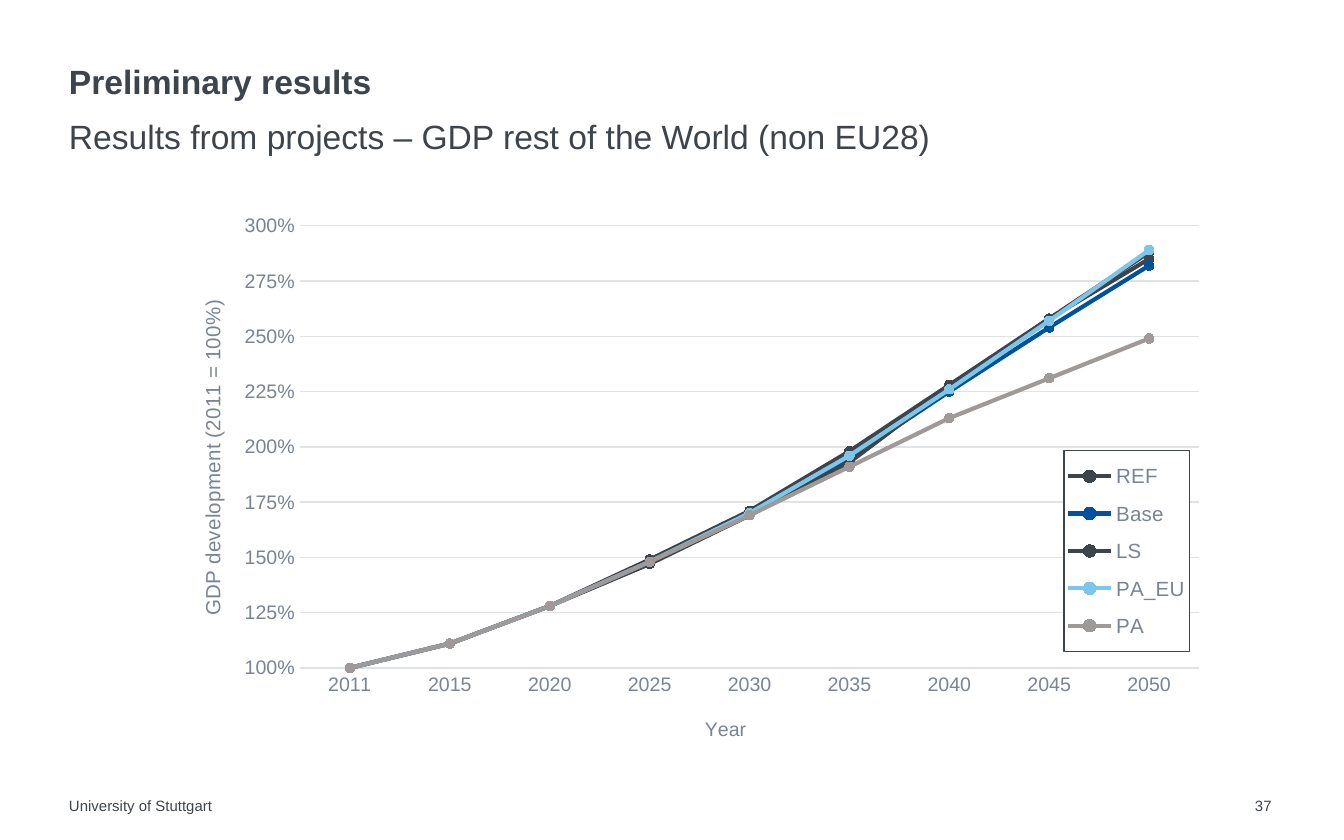
from lxml import etree
from pptx import Presentation
from pptx.chart.data import CategoryChartData
from pptx.dml.color import RGBColor
from pptx.enum.chart import XL_CHART_TYPE as CT, XL_LEGEND_POSITION as LP
from pptx.enum.chart import XL_MARKER_STYLE as MS, XL_TICK_MARK as TM
from pptx.oxml import parse_xml
from pptx.oxml.ns import nsdecls, qn
from pptx.util import Emu, Pt

SCALE = 914400 / 134.4
DARK, GREY, GRID = "3E444C", "7A8492", "E0E3E6"
YEARS = ["2011", "2015", "2020", "2025", "2030", "2035", "2040", "2045", "2050"]
SCENARIOS = [
    ("REF", DARK, [1, 1.11, 1.28, 1.49, 1.71, 1.98, 2.28, 2.58, 2.85]),
    ("Base", "00519E", [1, 1.11, 1.28, 1.48, 1.69, 1.95, 2.25, 2.54, 2.82]),
    ("LS", DARK, [1, 1.11, 1.28, 1.47, 1.69, 1.93, 2.27, 2.58, 2.88]),
    ("PA_EU", "7DC6EA", [1, 1.11, 1.28, 1.48, 1.7, 1.96, 2.26, 2.57, 2.89]),
    ("PA", "9F9998", [1, 1.11, 1.28, 1.48, 1.69, 1.91, 2.13, 2.31, 2.49]),
]


def px(n):
    """Turn pixels into EMU."""
    return Emu(round(n * SCALE))


def rgb(color):
    """Turn a hex string into a colour."""
    return RGBColor.from_string(color)


def set_font(font, size, color, bold=False):
    """Set face, size, weight and colour of a font."""
    for name, value in {"name": "Arial", "size": Pt(size), "bold": bold}.items():
        setattr(font, name, value)
    font.color.rgb = rgb(color)


def set_line(line, color, width):
    """Set colour and width of a line."""
    line.color.rgb = rgb(color)
    line.width = Pt(width)


def add_text(slide, box, text, size, bold=False):
    """Place one line of text in a box without margins."""
    tf = slide.shapes.add_textbox(*map(px, box)).text_frame
    tf.word_wrap = True
    for side in ("left", "top", "right", "bottom"):
        setattr(tf, f"margin_{side}", 0)
    r = tf.paragraphs[0].add_run()
    r.text = text
    set_font(r.font, size, DARK, bold)


def set_layout(element, index, box, place, inner=False):
    """Fix a chart part at a place in px relative to the chart box."""
    for old in element.findall(qn("c:layout")):
        element.remove(old)
    layout = parse_xml(f"<c:layout {nsdecls('c')}><c:manualLayout/></c:layout>")
    values = [round(n / box[2 + i % 2], 3) for i, n in enumerate(place)]
    items = [("layoutTarget", "inner")] if inner else []
    items += [("xMode", "edge"), ("yMode", "edge"), *zip("xywh", values)]
    for tag, value in items:
        etree.SubElement(layout[0], qn(f"c:{tag}")).set("val", str(value))
    element.insert(index, layout)


def style_axis(axis, box, title, size, place):
    """Set title, tick labels and tick marks of an axis."""
    for name, value in {"has_title": True, "major_tick_mark": TM.NONE,
                        "minor_tick_mark": TM.NONE}.items():
        setattr(axis, name, value)
    set_font(axis.tick_labels.font, 10.5, GREY)
    r = axis.axis_title.text_frame.paragraphs[0].add_run()
    r.text = title
    set_font(r.font, size, GREY)
    set_layout(axis.axis_title._element, 1, box, place)


def add_legend(chart, box, place):
    """Add a framed white legend over the plot."""
    chart.has_legend = True
    legend = chart.legend
    legend.position = LP.RIGHT
    legend.include_in_layout = True
    set_font(legend.font, 11, GREY)
    set_layout(legend._element, 1, box, place)
    legend._element.find(qn("c:txPr")).addprevious(parse_xml(
        f'<c:spPr {nsdecls("c", "a")}>'
        '<a:solidFill><a:srgbClr val="FFFFFF"/></a:solidFill>'
        f'<a:ln w="9525"><a:solidFill><a:srgbClr val="{DARK}"/></a:solidFill></a:ln>'
        '</c:spPr>'))


def add_gdp_chart(slide, box):
    """Draw the GDP development of all scenarios."""
    data = CategoryChartData(number_format="0%")
    data.categories = YEARS
    for name, _, values in SCENARIOS:
        data.add_series(name, values)
    chart = slide.shapes.add_chart(CT.LINE_MARKERS, *map(px, box), data).chart
    chart.has_title = False
    set_font(chart.font, 10.5, DARK)
    plot = chart.plots[0]
    plot.vary_by_categories = False
    for s, (_, color, _) in zip(plot.series, SCENARIOS):
        s.smooth = False
        set_line(s.format.line, color, 2.25)
        s.marker.style, s.marker.size = MS.CIRCLE, 5
        s.marker.format.fill.solid()
        s.marker.format.fill.fore_color.rgb = rgb(color)
        set_line(s.marker.format.line, color, 0.75)

    years, gdp = chart.category_axis, chart.value_axis
    style_axis(years, box, "Year", 10.5, (553, 512))
    set_line(years.format.line, GRID, 0.75)
    style_axis(gdp, box, "GDP development (2011 = 100%)", 11, (47, 96))
    gdp.axis_title.text_frame._txBody.bodyPr.set("rot", "-5400000")
    for name, value in {"minimum_scale": 1, "maximum_scale": 3, "major_unit": 0.25,
                        "has_major_gridlines": True}.items():
        setattr(gdp, name, value)
    gdp.tick_labels.number_format = "0%"
    gdp.tick_labels.number_format_is_linked = False
    gdp.format.line.fill.background()
    set_line(gdp.major_gridlines.format.line, GRID, 0.75)
    set_layout(chart._chartSpace.chart.plotArea, 0, box, (152, 26, 899, 442), True)
    add_legend(chart, box, (916, 251, 126, 201))


def add_header(slide, box):
    """Place title and subtitle."""
    x, y, w, h = box
    add_text(slide, (x, y, w, h), "Preliminary results", 18, True)
    add_text(slide, (x, y + 55, w, h),
             "Results from projects – GDP rest of the World (non EU28)", 18)


def add_footer(slide, box):
    """Place the institution and the page number."""
    x, y, w, h = box
    add_text(slide, (x, y, 891, h), "University of Stuttgart", 8)
    add_text(slide, (x + w - 32, y, 32, h), "37", 8)


def main():
    """Build and save the slide."""
    prs = Presentation()
    prs.slide_width, prs.slide_height = px(1344), px(840)
    slide = prs.slides.add_slide(prs.slide_layouts[6])
    add_header(slide, (69, 61, 1207, 40))
    add_gdp_chart(slide, (148, 200, 1064, 550))
    add_footer(slide, (69, 797, 1218, 19))
    prs.save("out.pptx")


if __name__ == "__main__":
    main()
